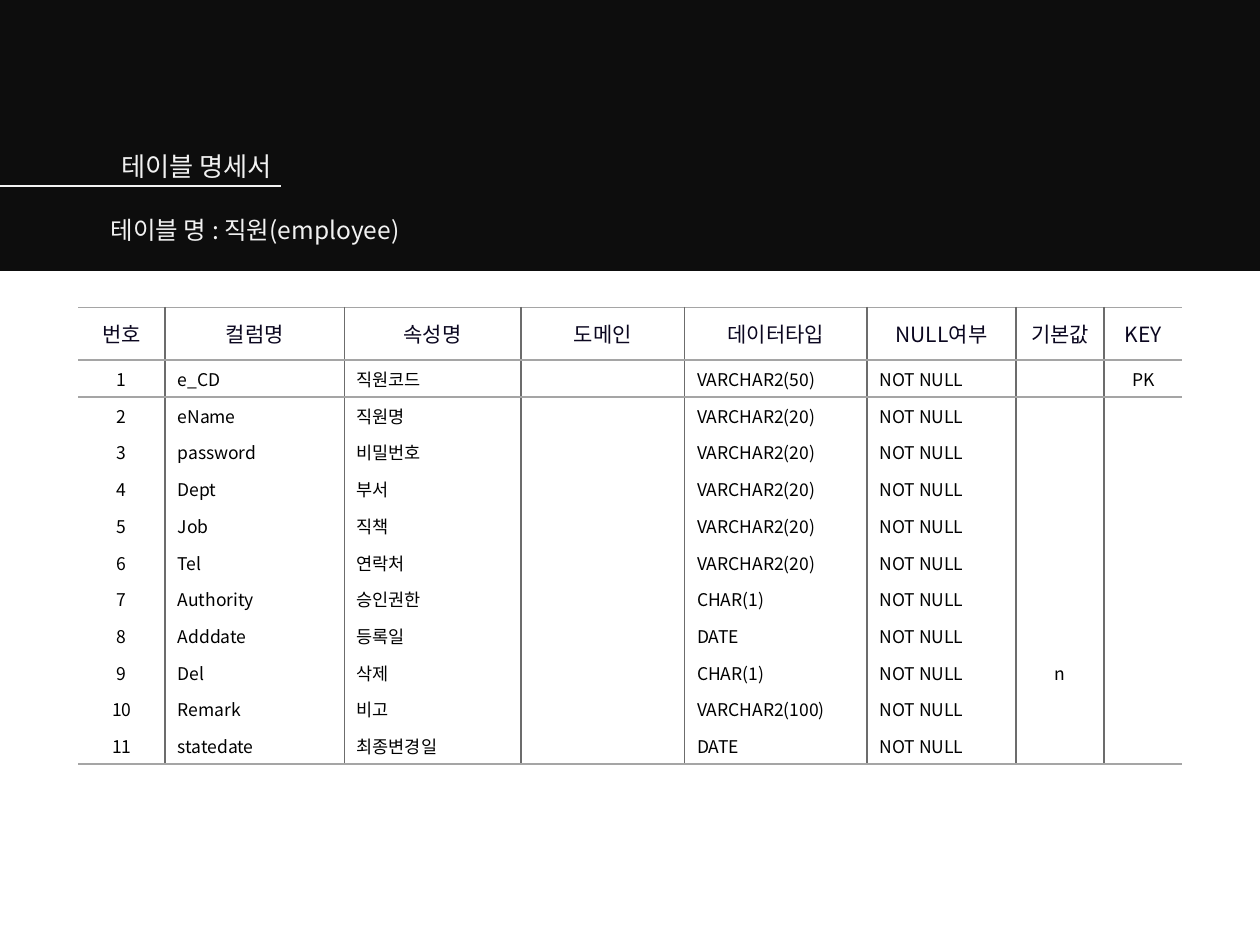
import pptx
import pptx.util
import pptx.dml.color
import pptx.enum.shapes
import pptx.enum.text
import pptx.oxml.ns
from lxml import etree

Cm, Pt = pptx.util.Cm, pptx.util.Pt
RGBColor = pptx.dml.color.RGBColor
ALIGN = pptx.enum.text.PP_ALIGN
ANCHOR = pptx.enum.text.MSO_ANCHOR
qn = pptx.oxml.ns.qn

# Content
TITLE = "테이블 명세서"
TABLE_NAME = "테이블 명 : 직원(employee)"
HEADERS = ["번호", "컬럼명", "속성명", "도메인", "데이터타입", "NULL여부", "기본값", "KEY"]
# column name, attribute, data type, default value, key
FIELDS = [
    ("e_CD", "직원코드", "VARCHAR2(50)", "", "PK"),
    ("eName", "직원명", "VARCHAR2(20)", "", ""),
    ("password", "비밀번호", "VARCHAR2(20)", "", ""),
    ("Dept", "부서", "VARCHAR2(20)", "", ""),
    ("Job", "직책", "VARCHAR2(20)", "", ""),
    ("Tel", "연락처", "VARCHAR2(20)", "", ""),
    ("Authority", "승인권한", "CHAR(1)", "", ""),
    ("Adddate", "등록일", "DATE", "", ""),
    ("Del", "삭제", "CHAR(1)", "n", ""),
    ("Remark", "비고", "VARCHAR2(100)", "", ""),
    ("statedate", "최종변경일", "DATE", "", ""),
]
COLUMN_WIDTHS = [1.75, 3.61, 3.56, 3.3, 3.68, 3, 1.78, 1.57]
CENTERED_COLUMNS = {0, 6, 7}
HEADER_HEIGHT, ROW_HEIGHT = 1.06, 0.74

# Look
FONT = "Noto Sans CJK KR"
BAND = RGBColor(0x0D, 0x0D, 0x0D)
LIGHT = RGBColor(0xF2, 0xF2, 0xF2)
HEADER_TEXT = RGBColor(0x0B, 0x07, 0x20)
BODY_TEXT = RGBColor(0, 0, 0)
COLUMN_RULE = RGBColor(0x6C, 0x6C, 0x6C)
ROW_RULE = RGBColor(0xA5, 0xA5, 0xA5)
NO_STYLE = "{2D5ABB26-0587-4C30-8999-92F81FD0307C}"


def write(paragraph, text, size, color, align=ALIGN.LEFT):
    paragraph.alignment = align
    if not text:
        # keeps an empty cell from growing to the default text size
        etree.SubElement(paragraph._p, qn("a:endParaRPr"), sz=str(size * 100))
        return
    run = paragraph.add_run()
    run.text = text
    run.font.size = Pt(size)
    run.font.name = FONT
    run.font.color.rgb = color
    etree.SubElement(run.font._element, qn("a:ea"), typeface=FONT)


def add_border(cell, side, color):
    line = etree.SubElement(cell._tc.get_or_add_tcPr(), qn(f"a:ln{side}"), w=str(Pt(1)))
    fill = etree.SubElement(line, qn("a:solidFill"))
    etree.SubElement(fill, qn("a:srgbClr"), val=str(color))


def place_heading(heading, left, top, width, height):
    heading.left, heading.top = Cm(left), Cm(top)
    heading.width, heading.height = Cm(width), Cm(height)
    frame = heading.text_frame
    frame.word_wrap = True
    frame.vertical_anchor = ANCHOR.TOP
    frame.auto_size = pptx.enum.text.MSO_AUTO_SIZE.SHAPE_TO_FIT_TEXT
    return frame.paragraphs[0]


def add_heading_band(slide):
    band = slide.shapes.add_shape(
        pptx.enum.shapes.MSO_SHAPE.RECTANGLE, 0, 0, Cm(25.4), Cm(5.46))
    band.shadow.inherit = False
    band.fill.solid()
    band.fill.fore_color.rgb = BAND
    band.line.fill.background()
    slide.shapes._spTree.insert(2, band._element)  # behind the title

    underline = slide.shapes.add_connector(
        pptx.enum.shapes.MSO_CONNECTOR.STRAIGHT, 0, Cm(3.75), Cm(5.66), Cm(3.75))
    underline.line.color.rgb = LIGHT
    underline.line.width = Pt(1.5)
    etree.SubElement(underline._element.spPr, qn("a:effectLst"))

    title = place_heading(slide.shapes.title, 1.98, 2.59, 3.76, 1.12)
    title.line_spacing = 1.5
    write(title, TITLE, 15, LIGHT, ALIGN.RIGHT)

    name_box = slide.shapes.add_textbox(0, 0, 0, 0)
    write(place_heading(name_box, 1.98, 4.22, 8.64, 0.86), TABLE_NAME, 14, LIGHT)


def add_specification(slide):
    rows = [HEADERS] + [
        (str(number), column, attribute, "", data_type, "NOT NULL", default, key)
        for number, (column, attribute, data_type, default, key) in enumerate(FIELDS, 1)
    ]
    heights = [HEADER_HEIGHT] + [ROW_HEIGHT] * len(FIELDS)
    specification = slide.shapes.add_table(
        len(rows), len(HEADERS), Cm(1.58), Cm(6.2),
        Cm(sum(COLUMN_WIDTHS)), Cm(sum(heights))).table
    specification.first_row = specification.horz_banding = False
    specification._tbl.tblPr.find(qn("a:tableStyleId")).text = NO_STYLE

    for column, width in zip(specification.columns, COLUMN_WIDTHS):
        column.width = Cm(width)
    last_row, last_column = len(rows) - 1, len(HEADERS) - 1
    for r, values in enumerate(rows):
        specification.rows[r].height = Cm(heights[r])
        is_header = r == 0
        for c, value in enumerate(values):
            cell = specification.cell(r, c)
            cell.vertical_anchor = ANCHOR.MIDDLE
            centered = is_header or c in CENTERED_COLUMNS
            write(cell.text_frame.paragraphs[0], value, 12 if is_header else 10,
                  HEADER_TEXT if is_header else BODY_TEXT,
                  ALIGN.CENTER if centered else ALIGN.LEFT)
            # Rules between columns, around the header and under the last row
            borders = [
                ("L", c > 0, COLUMN_RULE),
                ("R", c < last_column, COLUMN_RULE),
                ("T", r <= 1, ROW_RULE),
                ("B", r in (0, last_row), ROW_RULE),
            ]
            for side, shown, color in borders:
                if shown:
                    add_border(cell, side, color)
            cell.fill.background()


def main():
    deck = pptx.Presentation()
    deck.slide_width, deck.slide_height = Cm(25.4), Cm(19.05)
    slide = deck.slides.add_slide(deck.slide_layouts[5])  # title only
    add_heading_band(slide)
    add_specification(slide)
    deck.save("out.pptx")


if __name__ == "__main__":
    main()
